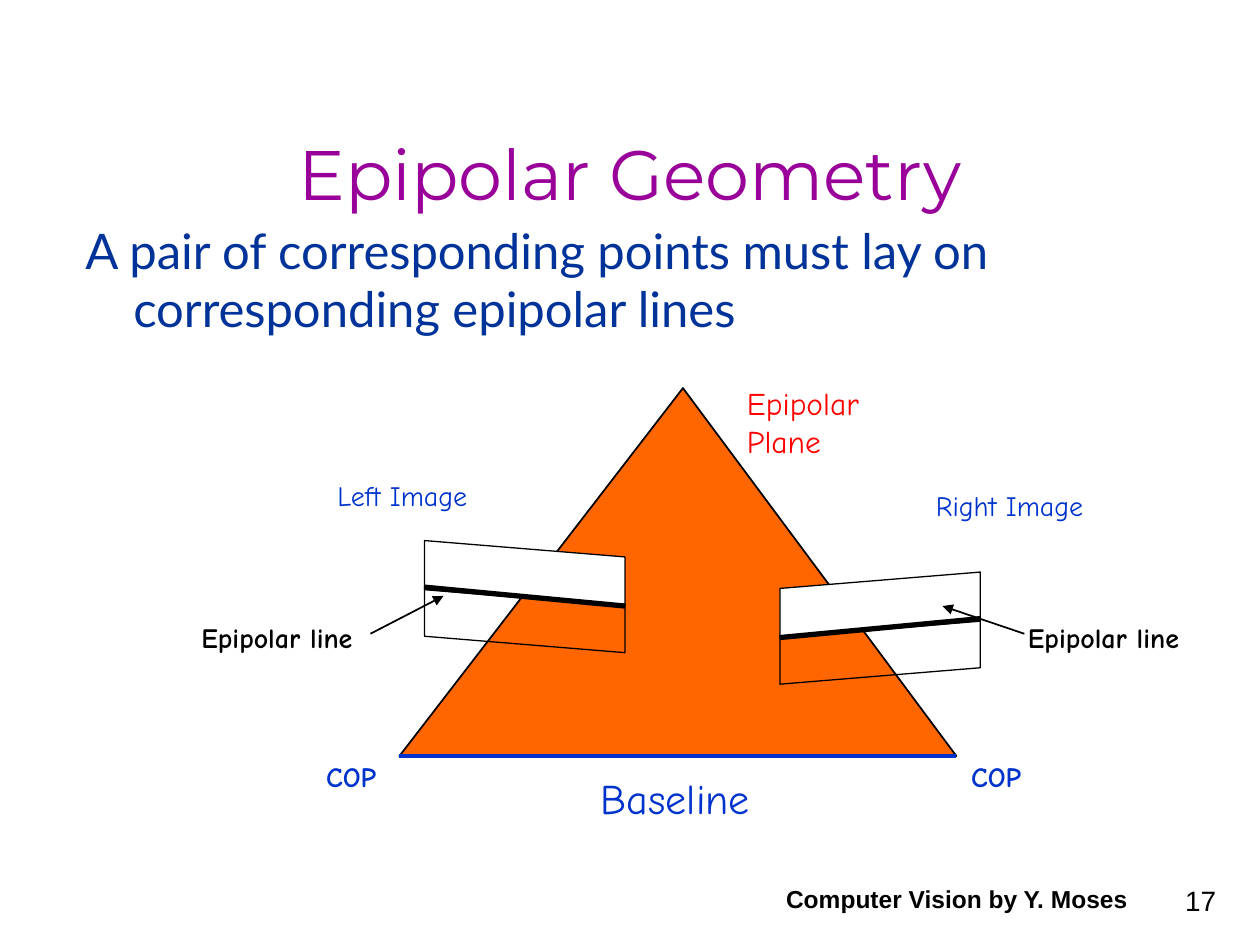
import dataclasses

import pptx
import pptx.dml.color
import pptx.enum.dml
import pptx.enum.shapes
import pptx.enum.text
import pptx.oxml.ns
import pptx.util
from lxml import etree

Inches = pptx.util.Inches
Pt = pptx.util.Pt
ALIGN = pptx.enum.text.PP_ALIGN
ANCHOR = pptx.enum.text.MSO_ANCHOR


@dataclasses.dataclass(frozen=True)
class Theme:
    """Colours, fonts and type sizes of the slide."""
    purple: str = "990099"
    navy: str = "003399"
    blue: str = "0033CC"
    red: str = "FF0000"
    orange: str = "FF6600"
    black: str = "000000"
    white: str = "FFFFFF"
    title_font: str = "Montserrat"
    body_font: str = "Lato"
    label_font: str = "Comic Neue"
    footer_font: str = "Arial"
    title: int = 40
    body_end: int = 32
    body: int = 28
    baseline: int = 24
    plane: int = 18
    label: int = 16
    footer: int = 14


THEME = Theme()


def rgb(value):
    """Return a colour object for a hex string."""
    return pptx.dml.color.RGBColor.from_string(value)


def add_text(slide, text, box, size=THEME.label, font=THEME.label_font, color=THEME.blue,
             bold=False, align=ALIGN.LEFT, anchor=ANCHOR.TOP, wrap=True):
    """Add a text box with one formatted paragraph and return that paragraph."""
    tf = slide.shapes.add_textbox(*map(Inches, box)).text_frame
    tf.word_wrap = wrap
    tf.vertical_anchor = anchor
    p = tf.paragraphs[0]
    p.alignment = align
    r = p.add_run()
    r.text = text
    r.font.size = Pt(size)
    r.font.name = font
    r.font.bold = bold
    r.font.color.rgb = rgb(color)
    return p


def style_shape(sp, fill=None, width=1):
    """Give a shape a black outline and an optional solid fill."""
    sp.shadow.inherit = False
    if fill:
        sp.fill.solid()
        sp.fill.fore_color.rgb = rgb(fill)
    else:
        sp.fill.background()
    sp.line.color.rgb = rgb(THEME.black)
    sp.line.width = Pt(width)


def add_line(slide, start, end, color=THEME.black, width=1, arrow=False):
    """Add a straight line, with an arrowhead at its end if asked."""
    sp = slide.shapes.add_connector(pptx.enum.shapes.MSO_CONNECTOR.STRAIGHT,
                                    *map(Inches, (*start, *end)))
    sp.line.color.rgb = rgb(color)
    sp.line.width = Pt(width)
    if arrow:
        etree.SubElement(sp.line._get_or_add_ln(), pptx.oxml.ns.qn("a:tailEnd"), type="triangle")
    etree.SubElement(sp._element.spPr, pptx.oxml.ns.qn("a:effectLst"))


def add_heading(slide, box):
    """Place the title and the statement under it."""
    left, top, width, height = box
    add_text(slide, "Epipolar Geometry", (left + 0.17, top, width, 1.25), size=THEME.title,
             font=THEME.title_font, color=THEME.purple, align=ALIGN.CENTER, anchor=ANCHOR.BOTTOM)
    p = add_text(slide, "A pair of corresponding points must lay on corresponding epipolar lines",
                 (left, top + 1.25, width - 0.17, height - 1.25), size=THEME.body,
                 font=THEME.body_font, color=THEME.navy)
    p.line_spacing = 0.9
    pPr = p._p.get_or_add_pPr()
    pPr.set("marL", str(Inches(0.38)))
    pPr.set("indent", str(Inches(-0.38)))
    r = p.add_run()
    r.text = " "
    r.font.size = Pt(THEME.body_end)
    r.font.name = THEME.body_font


def add_plane(slide, box):
    """Draw the epipolar plane as a triangle inside the box."""
    left, top, width, height = box
    apex, *base = [(Inches(x), Inches(y)) for x, y in (
        (left + 2.25, top), (left, top + height), (left + width, top + height))]
    builder = slide.shapes.build_freeform(*apex)
    builder.add_line_segments(base, close=True)
    style_shape(builder.convert_to_shape(), THEME.orange)


def add_image_plane(slide, box, mirrored=False):
    """Draw one slanted image, its upper part white, with its epipolar line."""
    left, top, width, height = box
    middle = left + width / 2
    for offset, fill in ((0.37, None), (0, THEME.white)):
        center = top + height / 2 + offset
        sp = slide.shapes.add_shape(
            pptx.enum.shapes.MSO_SHAPE.PARALLELOGRAM,
            *map(Inches, (middle - height / 2, center - width / 2, height, width)))
        sp.adjustments[0] = 0.25
        sp.rotation = 270 if mirrored else 90
        if mirrored:
            sp._element.spPr.xfrm.set("flipH", "1")
        style_shape(sp, fill, 0.75)
    ends = [top + 0.37, top + 0.52]
    if mirrored:
        ends.reverse()
    add_line(slide, (left, ends[0]), (left + width, ends[1]), width=3)


def add_diagram(slide, box):
    """Place the plane, both images, the baseline and all labels."""
    left, top, width, height = box
    bottom = top + height
    add_plane(slide, box)
    add_image_plane(slide, (left + 3.02, top + 1.46, 1.59, 0.52), mirrored=True)
    add_image_plane(slide, (left + 0.2, top + 1.21, 1.59, 0.52))
    add_text(slide, "Baseline", (left + 1.5, bottom + 0.08, 1.83, 0.5), size=THEME.baseline)
    add_text(slide, "Right Image", (left + 4.16, top + 0.75, 1.75, 0.37))
    add_text(slide, "Left Image", (left - 0.59, top + 0.67, 1.44, 0.37))
    add_text(slide, "Epipolar Plane", (left + 2.66, top - 0.08, 1.44, 0.7),
             size=THEME.plane, color=THEME.red)
    for x in (left - 1.67, left + 4.89):
        add_text(slide, "Epipolar line", (x, top + 1.8, 1.61, 0.37),
                 color=THEME.black, bold=True, wrap=False)
    add_line(slide, (left - 0.23, top + 1.95), (left + 0.35, top + 1.65), arrow=True)
    add_line(slide, (left + 4.96, top + 1.95), (left + 4.31, top + 1.73), arrow=True)
    add_line(slide, (left, bottom), (left + width, bottom), THEME.blue, 2.25)
    for x in (left - 0.68, left + 4.44):
        add_text(slide, "COP", (x, bottom - 0.02, 0.63, 0.37), bold=True, wrap=False)


def add_footer(slide, box):
    """Place the course name and the slide number."""
    left, top, width, height = box
    add_text(slide, "17", (left + width - 2.08, top + 0.03, 2.08, height), font=THEME.footer_font,
             color=THEME.black, align=ALIGN.RIGHT, anchor=ANCHOR.BOTTOM)
    add_text(slide, "Computer Vision by Y. Moses", (left, top, 3.17, height), size=THEME.footer,
             font=THEME.footer_font, color=THEME.black, bold=True,
             align=ALIGN.CENTER, anchor=ANCHOR.BOTTOM)


def main():
    """Build the slide and save it."""
    prs = pptx.Presentation()
    prs.slide_width, prs.slide_height = Inches(10), Inches(7.5)
    slide = prs.slides.add_slide(prs.slide_layouts[6])
    add_footer(slide, (6.01, 6.8, 3.74, 0.5))
    add_heading(slide, (0.58, 0.5, 8.5, 2.25))
    add_diagram(slide, (3.17, 3.08, 4.42, 2.92))
    prs.save("out.pptx")


if __name__ == "__main__":
    main()
